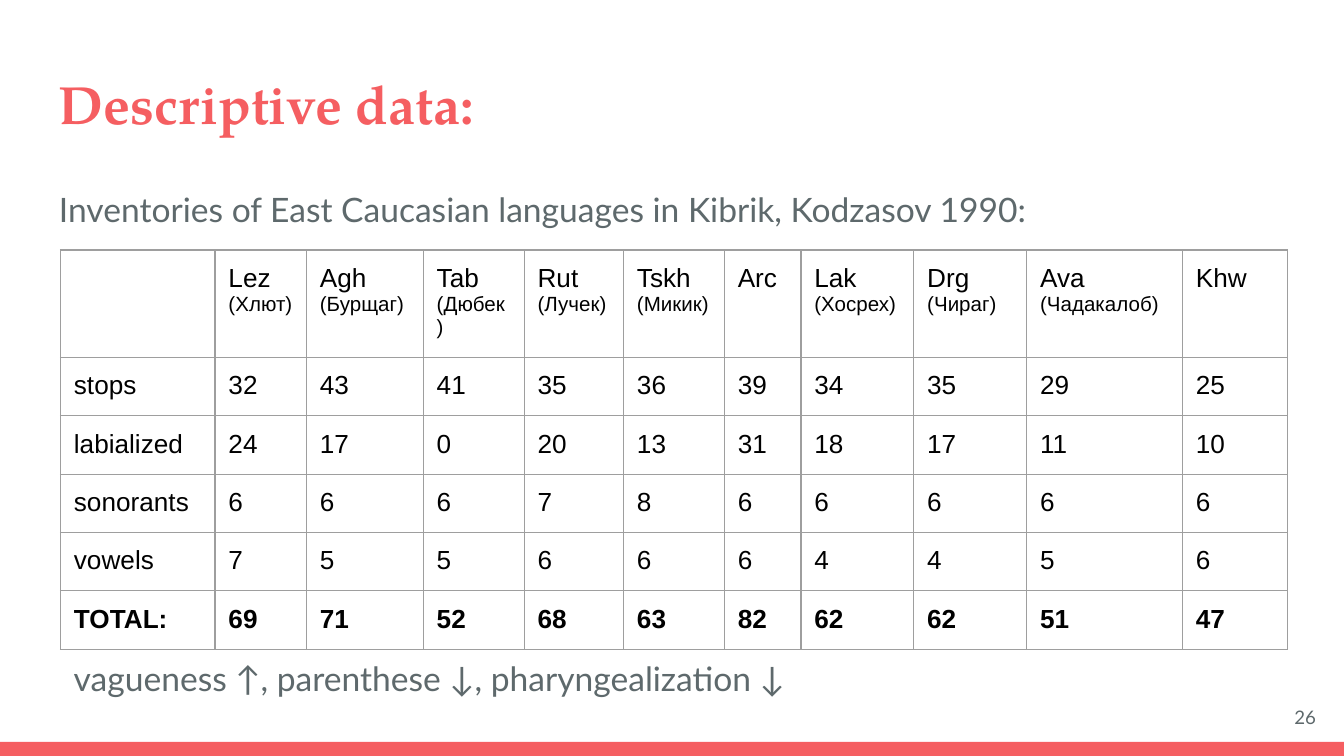
"""Build the slide with the consonant and vowel inventories of East Caucasian languages."""
from lxml.etree import SubElement
from pptx import Presentation
from pptx.dml.color import RGBColor
from pptx.enum.shapes import MSO_SHAPE as Shape
from pptx.enum.text import MSO_ANCHOR as Anchor, PP_ALIGN as Align
from pptx.oxml.ns import qn
from pptx.util import Inches, Pt

CORAL = RGBColor(0xF5, 0x5E, 0x61)
SLATE = RGBColor(0x5E, 0x69, 0x6C)
BLACK = RGBColor(0, 0, 0)
GREY = RGBColor(0x9E, 0x9E, 0x9E)
INSET = Inches(0.1)

LANGUAGES = [
    ("Lez", "(Хлют)"), ("Agh", "(Бурщаг)"), ("Tab", "(Дюбек)"), ("Rut", "(Лучек)"),
    ("Tskh", "(Микик)"), ("Arc",), ("Lak", "(Хосрех)"), ("Drg", "(Чираг)"),
    ("Ava", "(Чадакалоб)"), ("Khw",),
]
INVENTORIES = {
    "stops": [32, 43, 41, 35, 36, 39, 34, 35, 29, 25],
    "labialized": [24, 17, 0, 20, 13, 31, 18, 17, 11, 10],
    "sonorants": [6, 6, 6, 7, 8, 6, 6, 6, 6, 6],
    "vowels": [7, 5, 5, 6, 6, 6, 4, 4, 5, 6],
}
COLUMN_WIDTHS = [1.15, 0.68, 0.87, 0.75, 0.74, 0.75, 0.57, 0.84, 0.84, 1.16, 0.78]
HEADER_HEIGHT, ROW_HEIGHT = 0.43, 0.42


def style_font(font, name, size, color, bold=False):
    """Set the typeface, size, colour and weight of a font."""
    font.name, font.size, font.bold = name, Pt(size), bold
    font.color.rgb = color


def add_text(slide, text, left, top, width, height, size, name="Lato", color=SLATE, bold=False):
    """Add a wrapped one-paragraph text box and return its frame."""
    box = slide.shapes.add_textbox(Inches(left), Inches(top), Inches(width), Inches(height))
    frame = box.text_frame
    frame.word_wrap = True
    frame.margin_left = frame.margin_right = frame.margin_top = frame.margin_bottom = INSET
    para = frame.paragraphs[0]
    para.text = text
    style_font(para.font, name, size, color, bold)
    return frame


def add_body(slide, text, left, top):
    """Add a line of body text."""
    para = add_text(slide, text, left, top, 9.32, 0.54, 18).paragraphs[0]
    para.line_spacing = 1.15
    para.space_after = Pt(12)


def add_footer(slide, number):
    """Add the bottom bar and the slide number."""
    bar = slide.shapes.add_shape(Shape.RECTANGLE, 0, Inches(5.52), Inches(10), Inches(0.11))
    bar.shadow.inherit = False
    bar.fill.solid()
    bar.fill.fore_color.rgb = CORAL
    bar.line.fill.background()
    frame = add_text(slide, number, 9.29, 5.12, 0.6, 0.43, 10)
    frame.vertical_anchor = Anchor.MIDDLE
    frame.paragraphs[0].alignment = Align.RIGHT


def add_borders(cell):
    """Draw a thin grey line on all sides of a cell."""
    properties = cell._tc.get_or_add_tcPr()
    for side in ("lnL", "lnR", "lnT", "lnB"):
        line = SubElement(properties, qn(f"a:{side}"), w=str(Pt(0.75)))
        fill = SubElement(line, qn("a:solidFill"))
        SubElement(fill, qn("a:srgbClr"), val=str(GREY))


def fill_cell(cell, lines, bold):
    """Write a cell whose first line is larger than the rest."""
    cell.margin_left = cell.margin_right = cell.margin_top = cell.margin_bottom = INSET
    add_borders(cell)
    cell.fill.background()
    cell.text = "\n".join(lines)
    for index, para in enumerate(cell.text_frame.paragraphs):
        for span in para.runs:
            style_font(span.font, "Arial", 11 if index else 14, BLACK, bold)


def add_inventory_table(slide):
    """Add the inventory table with a computed total row."""
    totals = [sum(column) for column in zip(*INVENTORIES.values())]
    rows = [[("",), *LANGUAGES]]
    for label, counts in [*INVENTORIES.items(), ("TOTAL:", totals)]:
        rows.append([(label,), *((str(count),) for count in counts)])
    heights = [HEADER_HEIGHT] + [ROW_HEIGHT] * (len(rows) - 1)
    table = slide.shapes.add_table(
        len(rows), len(COLUMN_WIDTHS), Inches(0.45), Inches(1.86),
        Inches(sum(COLUMN_WIDTHS)), Inches(sum(heights))).table
    table.first_row = table.horz_banding = False
    for column, width in zip(table.columns, COLUMN_WIDTHS):
        column.width = Inches(width)
    for row, height, contents in zip(table.rows, heights, rows):
        row.height = Inches(height)
        for cell, lines in zip(row.cells, contents):
            fill_cell(cell, lines, bold=contents is rows[-1])


def main():
    """Build and save the deck."""
    deck = Presentation()
    deck.slide_width = Inches(10)
    deck.slide_height = deck.slide_width * 9 // 16
    slide = deck.slides.add_slide(deck.slide_layouts[6])
    add_footer(slide, "26")
    add_text(slide, "Descriptive data:", 0.34, 0.43, 9.32, 0.68, 28.8,
             "TeX Gyre Pagella", CORAL, bold=True)
    add_body(slide, "Inventories of East Caucasian languages in Kibrik, Kodzasov 1990:", 0.34, 1.26)
    add_inventory_table(slide)
    add_body(slide, "vagueness ↑, parenthese ↓, pharyngealization ↓", 0.45, 4.75)
    deck.save("out.pptx")


if __name__ == "__main__":
    main()
